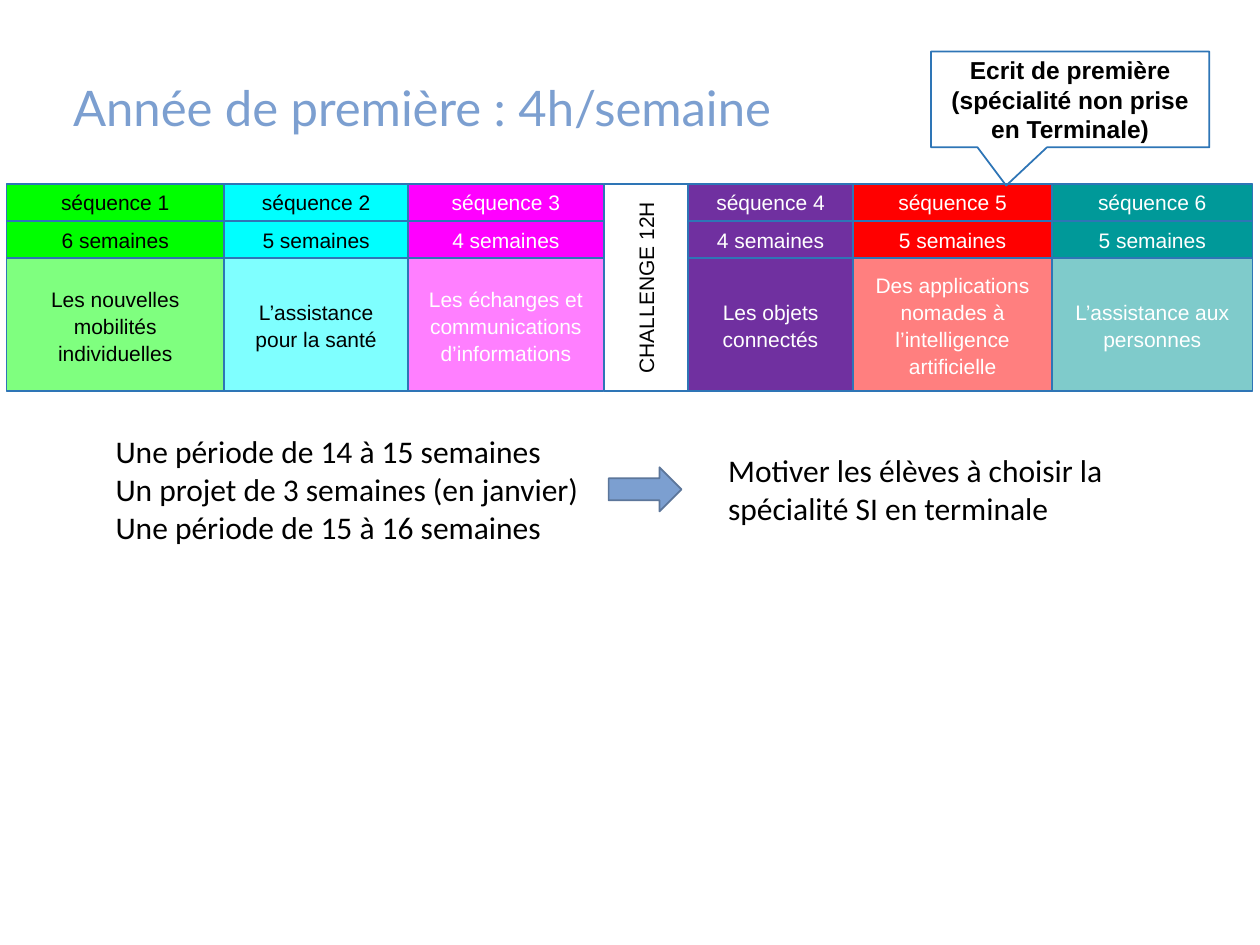
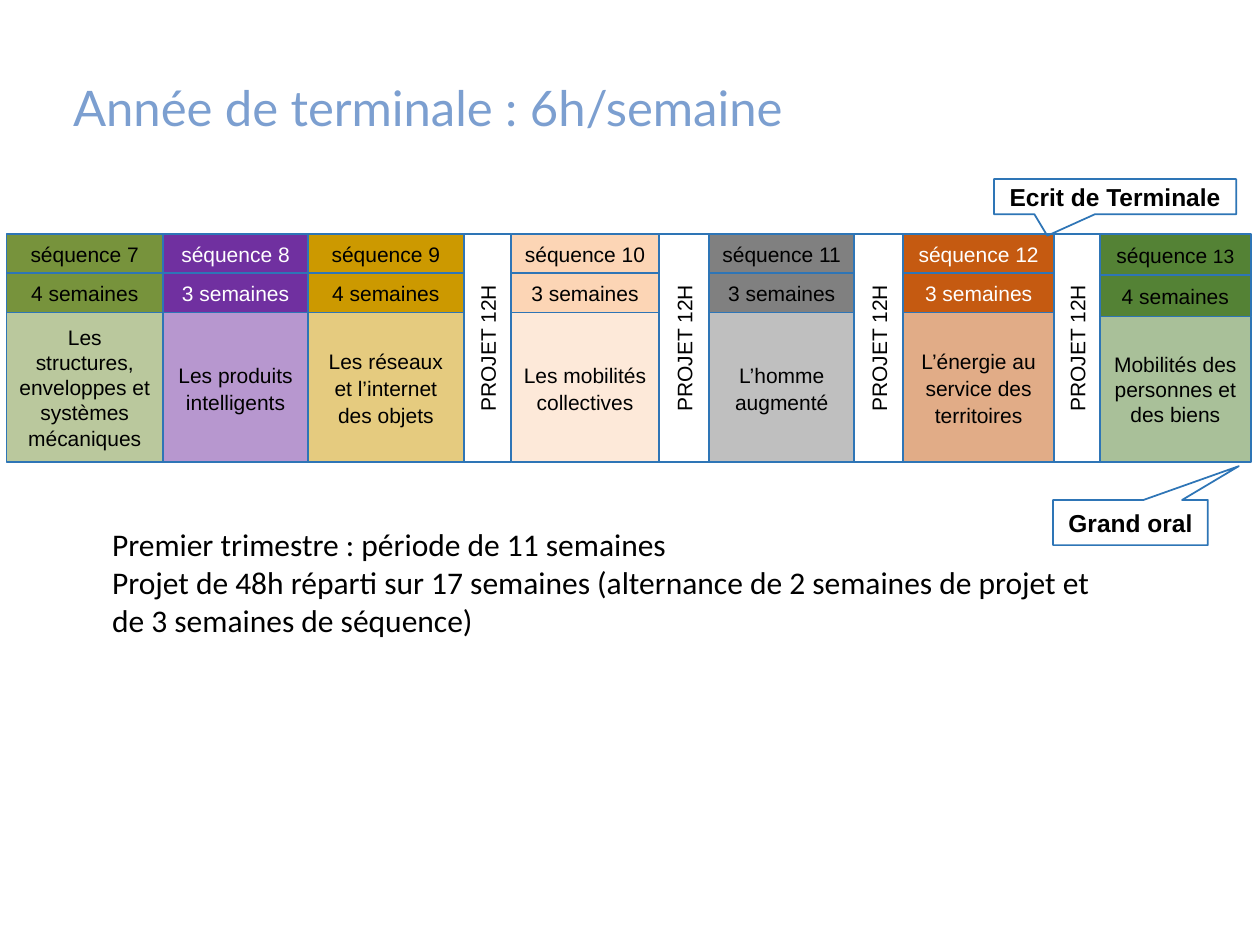
from dataclasses import dataclass

from lxml import etree
from pptx import Presentation
from pptx.dml.color import RGBColor
from pptx.enum.shapes import MSO_SHAPE
from pptx.enum.text import MSO_ANCHOR, MSO_AUTO_SIZE, PP_ALIGN
from pptx.oxml.ns import qn
from pptx.util import Cm, Pt

RECTANGLE = MSO_SHAPE.RECTANGLE
CALLOUT = MSO_SHAPE.RECTANGULAR_CALLOUT
RIGHT_ARROW = MSO_SHAPE.RIGHT_ARROW
MIDDLE = MSO_ANCHOR.MIDDLE
CENTER = PP_ALIGN.CENTER
LEFT = PP_ALIGN.LEFT
FIT_SHAPE = MSO_AUTO_SIZE.SHAPE_TO_FIT_TEXT
NO_FIT = MSO_AUTO_SIZE.NONE

BLACK, WHITE = "000000", "FFFFFF"
ACCENT, ARROW_EDGE, BORDER = "7C9FD0", "5C769A", "2E75B6"
TITLE_FONT, TABLE_FONT, NOTE_FONT = "Lato", "Arial", "Calibri"
TITLE_ONLY = 5
TIMELINE_LEFT = 0.13


@dataclass
class Sequence:
    number: int
    weeks: int
    theme: str
    width: float
    fill: str
    head_ink: str = BLACK
    theme_ink: str = BLACK
    theme_alpha: int = 50
    spacing: float = 1.07
    number_size: int = 12
    head_height: float = 0


@dataclass
class Project:
    label: str
    width: float


def colour(code):
    return RGBColor.from_string(code)


def add_span(para, text, font, size, ink, bold=False):
    span = para.add_run()
    span.text = text
    span.font.name = font
    span.font.size = Pt(size)
    span.font.bold = bold
    span.font.color.rgb = colour(ink)


def add_shape(page, kind, box, fill=None, edge=BORDER, alpha=100):
    shape = page.shapes.add_shape(kind, *(Cm(length) for length in box))
    shape.shadow.inherit = False
    shape.line.color.rgb = colour(edge)
    shape.line.width = Pt(1)
    if fill is None:
        shape.fill.background()
    else:
        shape.fill.solid()
        shape.fill.fore_color.rgb = colour(fill)
    if alpha < 100:
        tone = shape.fill._xPr.find(".//" + qn("a:srgbClr"))
        etree.SubElement(tone, qn("a:alpha"), val=str(alpha * 1000))
    shape.text_frame.word_wrap = True
    shape.text_frame.vertical_anchor = MIDDLE
    return shape


def add_cell(page, box, spans, ink, fill, alpha=100, spacing=1.0):
    """Bordered rectangle with one centred paragraph of (text, size) spans."""
    cell = add_shape(page, RECTANGLE, box, fill, alpha=alpha)
    para = cell.text_frame.paragraphs[0]
    para.alignment = CENTER
    para.line_spacing = spacing
    for text, size in spans:
        add_span(para, text, TABLE_FONT, size, ink)
    return cell


def add_lines(frame, lines, font, size, align, bold=False):
    for index, line in enumerate(lines):
        para = frame.add_paragraph() if index else frame.paragraphs[0]
        para.alignment = align
        add_span(para, line, font, size, BLACK, bold)


def add_sequence(page, box, row_height, sequence):
    """Two heading rows and the tinted theme below them."""
    left, top, width, height = box
    row = sequence.head_height or row_height
    heading = [("séquence", 12), (f" {sequence.number}", sequence.number_size)]
    duration = [(f"{sequence.weeks} semaines", 12)]
    add_cell(page, (left, top + 2 * row, width, height - 2 * row),
             [(sequence.theme, 12)], sequence.theme_ink, sequence.fill,
             sequence.theme_alpha, sequence.spacing)
    for index, spans in enumerate((duration, heading)):
        add_cell(page, (left, top + (1 - index) * row, width, row),
                 spans, sequence.head_ink, sequence.fill)


def add_project(page, box, project):
    """Full-height strip whose label reads upwards."""
    strip = add_cell(page, box, [(project.label, 12)], BLACK, WHITE, 50)
    strip.text_frame._txBody.bodyPr.set("vert", "vert270")


def add_timeline(page, top, height, row_height, columns):
    left = TIMELINE_LEFT
    for column in columns:
        box = (left, top, column.width, height)
        if isinstance(column, Project):
            add_project(page, box, column)
        else:
            add_sequence(page, box, row_height, column)
        left += column.width


def add_callout(page, box, lines, pointer):
    callout = add_shape(page, CALLOUT, box)
    for index, value in enumerate(pointer):
        callout.adjustments[index] = value
    add_lines(callout.text_frame, lines, TABLE_FONT, 14, CENTER, bold=True)


def add_note(page, box, lines):
    frame = page.shapes.add_textbox(*(Cm(length) for length in box)).text_frame
    frame.word_wrap = True
    frame.auto_size = FIT_SHAPE
    add_lines(frame, lines, NOTE_FONT, 18, LEFT)


def add_page(deck, heading):
    page = deck.slides.add_slide(deck.slide_layouts[TITLE_ONLY])
    title = page.shapes.title
    title.left, title.top, title.width, title.height = (
        Cm(length) for length in (1.22, 1.22, 22.94, 2.01))
    frame = title.text_frame
    frame.auto_size = NO_FIT
    frame.vertical_anchor = MIDDLE
    para = frame.paragraphs[0]
    para.alignment = LEFT
    para.line_spacing = 0.9
    add_span(para, heading, TITLE_FONT, 28, ACCENT)
    return page


def build_first_year(deck):
    page = add_page(deck, "Année de première : 4h/semaine")
    add_timeline(page, 3.71, 4.18, 0.75, [
        Sequence(1, 6, "Les nouvelles mobilités individuelles", 4.39, "00FF00"),
        Sequence(2, 5, "L’assistance pour la santé", 3.71, "00FFFF"),
        Sequence(3, 4, "Les échanges et communications d’informations",
                 3.94, "FF00FF", WHITE, WHITE),
        Project("CHALLENGE 12H", 1.7),
        Sequence(4, 4, "Les objets connectés", 3.33, "7030A0", WHITE, WHITE,
                 theme_alpha=100),
        Sequence(5, 5, "Des applications nomades à l’intelligence artificielle",
                 4.01, "FF0000", WHITE, WHITE),
        Sequence(6, 5, "L’assistance aux personnes", 4.04, "009999",
                 WHITE, WHITE),
    ])
    add_callout(page, (18.77, 1.04, 5.61, 1.93),
                ["Ecrit de première", "(spécialité non prise en Terminale)"],
                (-0.23, 0.9))

    # Year summary and its purpose
    add_note(page, (2.08, 8.59, 10.46, 2.57),
             ["Une période de 14 à 15 semaines",
              "Un projet de 3 semaines (en janvier)",
              "Une période de 15 à 16 semaines"])
    add_shape(page, RIGHT_ARROW, (12.27, 9.42, 1.47, 0.89), ACCENT, ARROW_EDGE)
    add_note(page, (14.43, 8.97, 9.04, 1.8),
             ["Motiver les élèves à choisir la spécialité SI en terminale"])


def build_final_year(deck):
    page = add_page(deck, "Année de terminale : 6h/semaine")
    project = "PROJET 12H"
    add_timeline(page, 4.72, 4.6, 0.79, [
        Sequence(7, 4, "Les structures, enveloppes\u00a0et systèmes mécaniques",
                 3.16, "77933C", spacing=1.0),
        Sequence(8, 3, "Les produits intelligents", 2.92, "7030A0", WHITE),
        Sequence(9, 4, "Les réseaux et l’internet des objets", 3.14, "CC9900"),
        Project(project, 0.96),
        Sequence(10, 3, "Les mobilités collectives", 2.97, "FCD5B5"),
        Project(project, 1.02),
        Sequence(11, 3, "L’homme augmenté", 2.92, "808080"),
        Project(project, 0.99),
        Sequence(12, 3, "L’énergie au service des territoires", 3.04,
                 "C55A11", WHITE),
        Project(project, 0.92),
        Sequence(13, 4, "Mobilités des personnes et des biens", 3.05, "548235",
                 spacing=1.0, number_size=11, head_height=0.83),
    ])

    # Exam milestones
    add_callout(page, (20.04, 3.61, 4.88, 0.71), ["Ecrit de Terminale"],
                (-0.28, 1.11))
    add_callout(page, (21.23, 10.08, 3.12, 0.91), ["Grand oral"],
                (0.7, -1.25))

    add_note(page, (2.01, 10.46, 20.45, 2.57),
             ["Premier trimestre : période de 11 semaines",
              "Projet de 48h réparti sur 17 semaines (alternance de 2 semaines "
              "de projet et de 3 semaines de séquence)"])


def main():
    deck = Presentation()
    deck.slide_width, deck.slide_height = Cm(25.4), Cm(19.05)
    build_first_year(deck)
    build_final_year(deck)
    deck.save("out.pptx")


if __name__ == "__main__":
    main()
